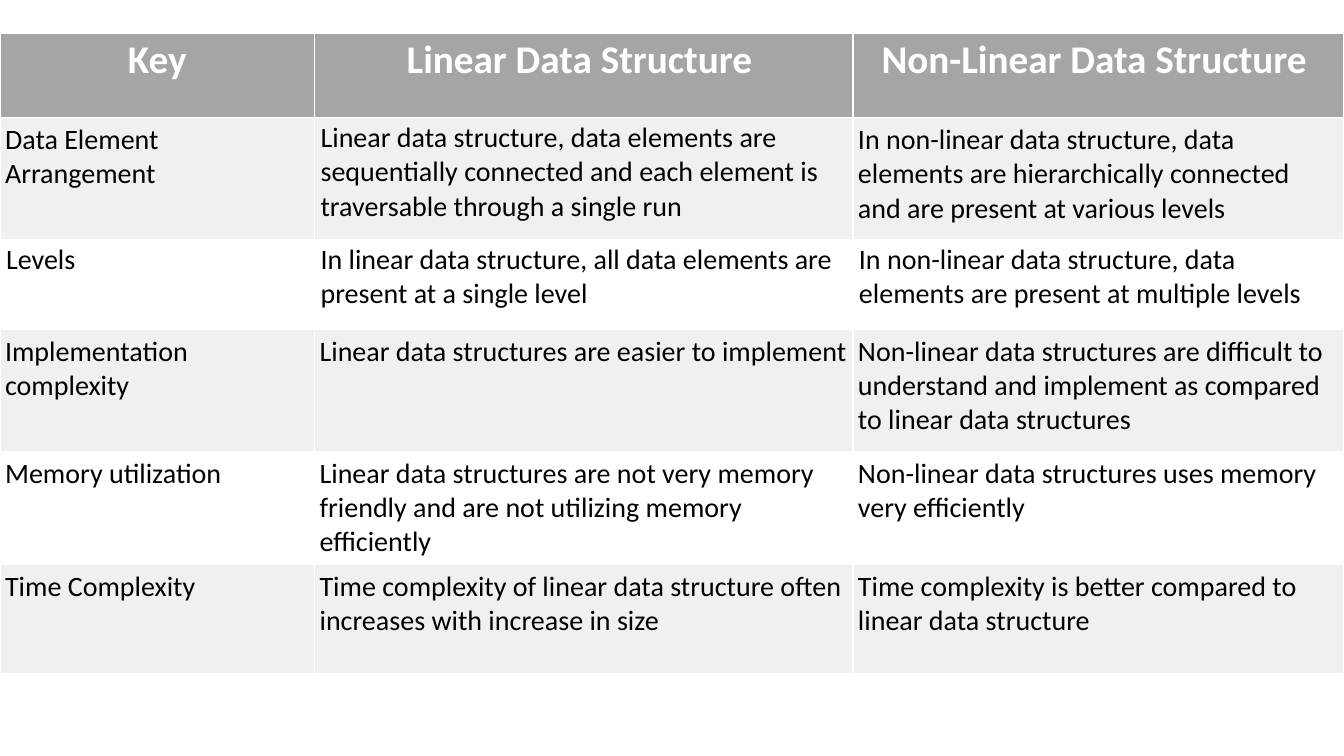
"""Build a slide with a table comparing linear and non-linear data structures."""
from lxml import etree
from pptx import Presentation
from pptx.dml.color import RGBColor
from pptx.enum import text
from pptx.oxml import ns
from pptx.util import Inches, Pt

WHITE = RGBColor(0xFF, 0xFF, 0xFF)
BLACK = RGBColor(0x00, 0x00, 0x00)
HEADER_GRAY = RGBColor(0xA5, 0xA5, 0xA5)
BAND_GRAY = RGBColor(0xF0, 0xF0, 0xF0)

COL_WIDTHS = [3.12, 5.34, 4.87]
ROW_HEIGHTS = [0.84, 1.21, 0.89, 1.21, 1.08, 1.08]
FLAT_MARGIN_CELLS = {(0, 0), (0, 1), (0, 2), (1, 1), (2, 0), (2, 1), (2, 2)}
ROWS = [
    ("Key", "Linear Data Structure ", "Non-Linear Data Structure "),
    ("Data Element Arrangement",
     "Linear data structure, data elements are sequentially connected "
     "and each element is traversable through a single run",
     "In non-linear data structure, data elements are hierarchically "
     "connected and are present at various levels"),
    ("Levels",
     "In linear data structure, all data elements are present at a single level",
     "In non-linear data structure, data elements are present at multiple levels"),
    ("Implementation complexity",
     "Linear data structures are easier to implement",
     "Non-linear data structures are difficult to understand and implement "
     "as compared to linear data structures"),
    ("Memory utilization",
     "Linear data structures are not very memory friendly and are not "
     "utilizing memory efficiently",
     "Non-linear data structures uses memory very efficiently"),
    ("Time Complexity",
     "Time complexity of linear data structure often increases with increase in size",
     "Time complexity is better compared to linear data structure"),
]


def add_borders(cell, color, width):
    tcPr = cell._tc.get_or_add_tcPr()
    for i, side in enumerate(("lnL", "lnR", "lnT", "lnB")):
        ln = etree.Element(ns.qn(f"a:{side}"), w=str(width))
        fill = etree.SubElement(ln, ns.qn("a:solidFill"))
        etree.SubElement(fill, ns.qn("a:srgbClr"), val=str(color))
        tcPr.insert(i, ln)


prs = Presentation()
prs.slide_width = Inches(13.33)
prs.slide_height = Inches(7.5)
s = prs.slides.add_slide(prs.slide_layouts[6])

table = s.shapes.add_table(
    len(ROWS), len(COL_WIDTHS), Inches(0), Inches(0.33),
    Inches(sum(COL_WIDTHS)), Inches(sum(ROW_HEIGHTS))).table
for col, width in zip(table.columns, COL_WIDTHS):
    col.width = Inches(width)
for row, height in zip(table.rows, ROW_HEIGHTS):
    row.height = Inches(height)

for i, row in enumerate(ROWS):
    header = i == 0
    for j, label in enumerate(row):
        cell = table.cell(i, j)
        mx, my = (0.06, 0.03) if (i, j) in FLAT_MARGIN_CELLS else (0.05, 0.05)
        cell.margin_left = cell.margin_right = Inches(mx)
        cell.margin_top = cell.margin_bottom = Inches(my)
        cell.vertical_anchor = text.MSO_ANCHOR.TOP
        cell.fill.solid()
        cell.fill.fore_color.rgb = (
            HEADER_GRAY if header else BAND_GRAY if i % 2 else WHITE)
        add_borders(cell, WHITE, Pt(1))
        p = cell.text_frame.paragraphs[0]
        p.alignment = text.PP_ALIGN.CENTER if header else text.PP_ALIGN.LEFT
        r = p.add_run()
        r.text = label
        r.font.name = "Calibri"
        r.font.size = Pt(28 if header else 20)
        r.font.bold = header
        r.font.color.rgb = WHITE if header else BLACK

prs.save("out.pptx")
